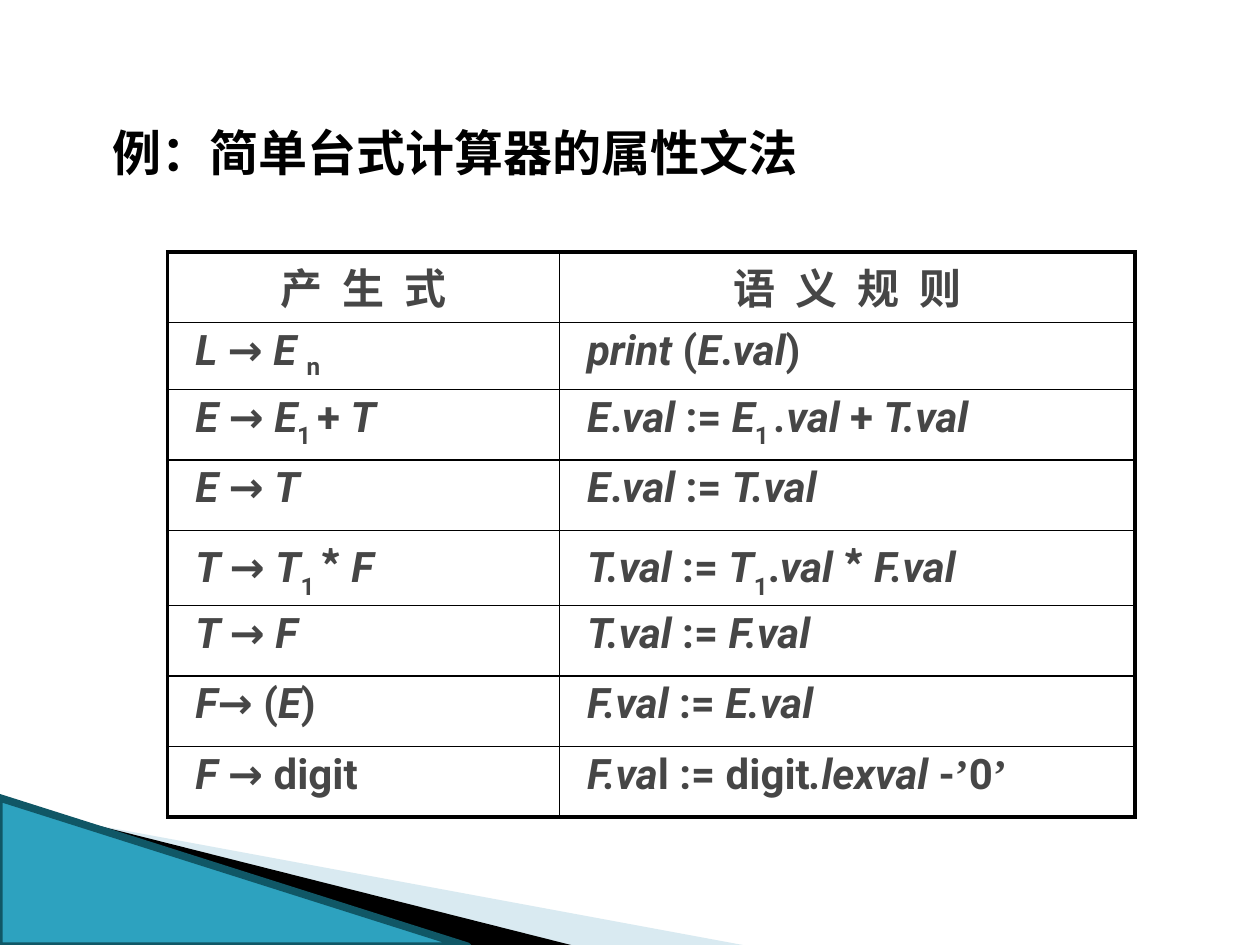
from lxml.etree import SubElement
from pptx import Presentation
from pptx.dml.color import RGBColor
from pptx.enum.shapes import MSO_CONNECTOR, MSO_SHAPE
from pptx.enum.text import MSO_ANCHOR, MSO_AUTO_SIZE, PP_ALIGN
from pptx.oxml import parse_xml
from pptx.oxml.ns import nsdecls, qn
from pptx.util import Inches, Pt


def rgb(value):
    return RGBColor.from_string(value)


def add_run(p, text, face, **formats):
    r = p.add_run()
    r.text = text
    for name, value in {"name": face, "bold": True, **formats}.items():
        setattr(r.font, name, value)
    SubElement(r.font._element, qn("a:ea")).set("typeface", face)
    return r


prs = Presentation()
prs.slide_width, prs.slide_height = Inches(10), Inches(7.5)
s = prs.slides.add_slide(prs.slide_layouts[5])

wedges = [
    ([(0.55, 6.51), (5.95, 7.51), (4.56, 7.51), (0.55, 6.5)], "A0CBDC", 40),
    ([(0.53, 6.49), (4.57, 7.51), (3.72, 7.52), (0.54, 6.5)], "000000", 100),
]
for points, color, opacity in wedges:
    points = [(Inches(x), Inches(y)) for x, y in points]
    builder = s.shapes.build_freeform(*points[0])
    builder.add_line_segments(points[1:])
    sp = builder.convert_to_shape()
    sp.shadow.inherit = False
    sp.fill.solid()
    sp.fill.fore_color.rgb = rgb(color)
    sp.line.fill.background()
    if opacity < 100:
        clr = sp._element.spPr.find(".//" + qn("a:srgbClr"))
        SubElement(clr, qn("a:alpha")).set("val", str(opacity * 1000))

edge = s.shapes.add_connector(
    MSO_CONNECTOR.STRAIGHT, Inches(-0.01), Inches(6.33), Inches(3.71), Inches(7.52))
edge.line.color.rgb = rgb("97C5D8")
edge.line.width = Pt(0.95)
SubElement(edge._element.spPr, qn("a:effectLst"))

corner = s.shapes.add_shape(
    MSO_SHAPE.RIGHT_TRIANGLE, Inches(-0.01), Inches(6.33), Inches(3.72), Inches(1.18))
corner.shadow.inherit = False
corner.fill.solid()
corner.fill.fore_color.rgb = rgb("2DA2BF")
corner.line.color.rgb = rgb("105766")
corner.line.width = Pt(4.33)

title = s.shapes.title
title.left, title.top = Inches(0.67), Inches(0.92)
title.width, title.height = Inches(8.5), Inches(0.67)
tf = title.text_frame
tf.word_wrap = True
tf.auto_size = MSO_AUTO_SIZE.NONE
tf.vertical_anchor = MSO_ANCHOR.TOP
tf.margin_left = Inches(0.22)
p = tf.paragraphs[0]
p.alignment = PP_ALIGN.LEFT
r = add_run(p, "例：简单台式计算器的属性文法", "DejaVu Sans Mono", size=Pt(28))
r.font.color.rgb = rgb("000000")

styles = {
    "/": ("Roboto", {"italic": True}),
    "_": ("Roboto", {}),
    "@": ("Noto Sans CJK SC", {}),
    "'": ("Times New Roman", {}),
}
rows = [
    ("@产 生 式", "@语 义 规 则"),
    ("/L |→ |/E |_n", "/print| (|/E|.|/val|)"),
    ("/E |→ |/E|_1 |+ |/T", "/E|.|/val| := |/E|_1 |/.val| + |/T.val"),
    ("/E |→ |/T", "/E|.|/val| := |/T.val"),
    ("/T |→ |/T|_1 |@* |/F", "/T.val| := |/T|_1|.|/val |@* |/F.val"),
    ("/T |→ |/F", "/T.val| := |/F.val"),
    ("/F|→ (|/E|)", "/F.val| := |/E.val"),
    ("/F |→ digit", "/F.va|l := digit|/.lexval |-|'’|0|'’"),
]
table = s.shapes.add_table(
    len(rows), 2, Inches(1.33), Inches(2), Inches(7.68), Inches(4.45)).table
table.first_row = table.horz_banding = False
for column, width in zip(table.columns, (3.11, 4.57)):
    column.width = Inches(width)
for i, texts in enumerate(rows):
    table.rows[i].height = Inches(0.53 if i == 1 else 0.56)
    for j, text in enumerate(texts):
        cell = table.cell(i, j)
        cell.margin_left = Inches(0.22 if i else 0.06)
        cell.margin_right = Inches(0.06)
        cell.margin_top = cell.margin_bottom = Inches(0.03)
        cell.fill.background()
        outer = {"L": j == 0, "R": j == 1, "T": i == 0, "B": i == len(rows) - 1}
        tcPr = cell._tc.get_or_add_tcPr()
        for k, (side, thick) in enumerate(outer.items()):
            width = Pt(2.25 if thick else 1)
            tcPr.insert(k, parse_xml(
                f'<a:ln{side} {nsdecls("a")} w="{width}"><a:solidFill>'
                f'<a:srgbClr val="000000"/></a:solidFill></a:ln{side}>'))
        p = cell.text_frame.paragraphs[0]
        p.alignment = PP_ALIGN.LEFT if i else PP_ALIGN.CENTER
        for part in text.split("|"):
            mark = part[0]
            face, formats = styles.get(mark, ("Roboto", {}))
            r = add_run(p, part[1:] if mark in styles else part, face,
                        size=Pt(24), **formats)
            r.font.color.rgb = rgb("464646")
            if mark == "_":
                r.font._element.set("baseline", "-30000" if i > 1 else "-25000")
            if i == 0:
                r.font._element.set("spc", "300")

prs.save("out.pptx")
